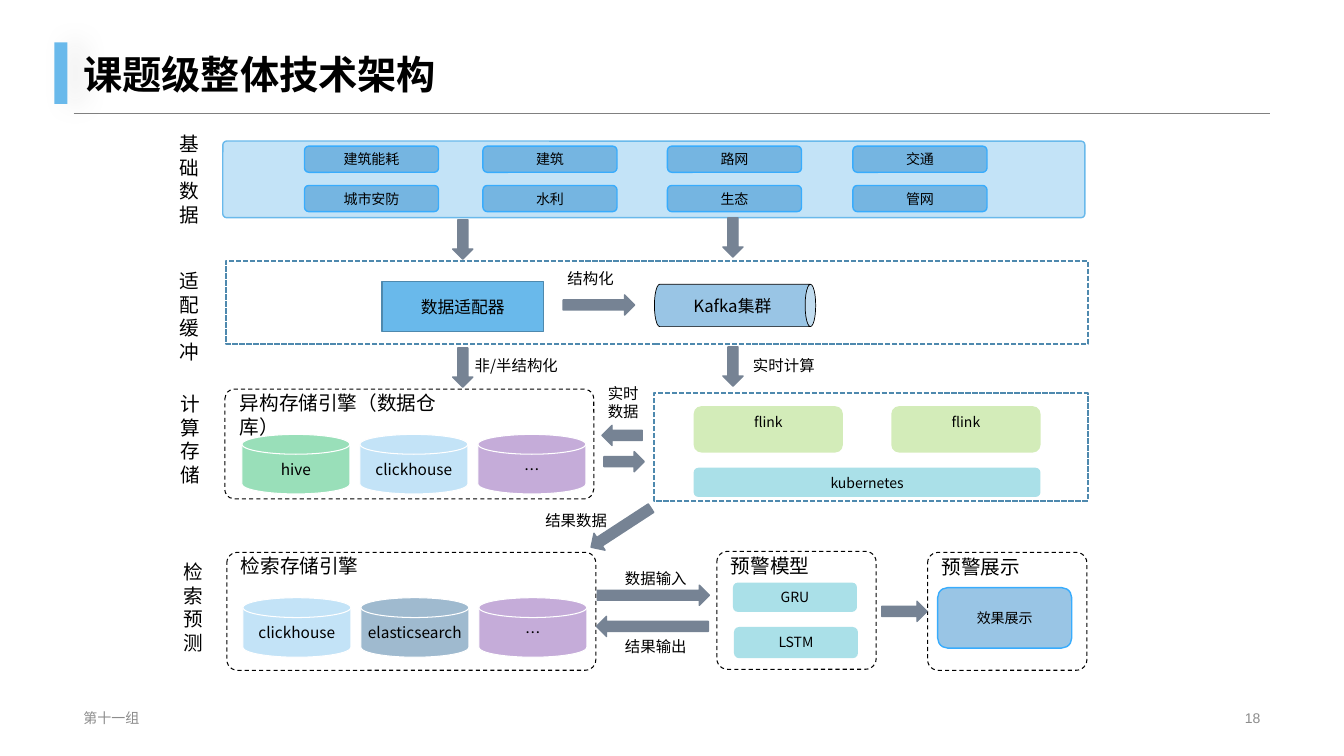
from lxml.etree import SubElement
from pptx import Presentation
from pptx.dml.color import RGBColor
from pptx.enum.dml import MSO_LINE
from pptx.enum.shapes import MSO_CONNECTOR, MSO_SHAPE
from pptx.enum.text import MSO_ANCHOR, PP_ALIGN
from pptx.oxml.ns import qn
from pptx.util import Inches, Pt

BLACK = RGBColor(0x00, 0x00, 0x00)
WHITE = RGBColor(0xFF, 0xFF, 0xFF)
GRAY = RGBColor(0x80, 0x80, 0x80)
FOOTER_GRAY = RGBColor(0x8C, 0x8C, 0x8C)
ARROW_GRAY = RGBColor(0x76, 0x83, 0x94)
SKY = RGBColor(0x69, 0xB9, 0xEB)
STEEL = RGBColor(0x4E, 0x89, 0xAE)
BLUE = RGBColor(0x00, 0x70, 0xC0)
BRIGHT_BLUE = RGBColor(0x38, 0xAC, 0xFD)
NAVY = RGBColor(0x0F, 0x54, 0x89)
GREEN = RGBColor(0x00, 0xB0, 0x50)
LIME = RGBColor(0x92, 0xD0, 0x50)
TEAL = RGBColor(0x2B, 0xB3, 0xC6)
PURPLE = RGBColor(0x70, 0x30, 0xA0)

HEADING_FONT = "Arial"
BODY_FONT = "Noto Sans CJK SC"
CHIP_INSETS = (0.11, 0.05)
DISK_INSETS = (0.04, 0)

TITLE = "课题级整体技术架构"
FOOTER = "第十一组"
PAGE_NUMBER = "18"

# Vertical stage labels: text, left, top
STAGES = [
    ("基础数据", 1.68, 1.26),
    ("适配缓冲", 1.68, 2.62),
    ("计算存储", 1.69, 3.84),
    ("检索预测", 1.72, 5.51),
]

# Data sources: left of the column, names from top to bottom
SOURCES = [
    (3.02, ("建筑能耗", "城市安防")),
    (4.79, ("建筑", "水利")),
    (6.62, ("路网", "生态")),
    (8.46, ("交通", "管网")),
]
SOURCE_TOPS = (1.45, 1.84)

# Frames: left, top, width, height
STEEL_FRAMES = [(2.24, 2.59, 8.55, 0.82), (6.49, 3.9, 4.3, 1.07)]
ROUND_FRAMES = [
    (2.23, 3.86, 3.66, 1.09),
    (2.25, 5.48, 3.66, 1.17),
    (7.11, 5.47, 1.58, 1.17),
    (9.2, 5.48, 1.58, 1.17),
]

# Storage engines: left of the first disk, top, (name, colour) of each disk
DISK_ROWS = [
    (2.4, 4.31, [("hive", GREEN), ("clickhouse", SKY), ("…", PURPLE)]),
    (2.41, 5.93, [("clickhouse", SKY), ("elasticsearch", NAVY), ("…", PURPLE)]),
]
DISK_STEP = 1.17

# Soft boxes: text, colour, left, top, width, height
COMPONENTS = [
    ("flink", LIME, 6.88, 4.03, 1.48, 0.46),
    ("flink", LIME, 8.84, 4.03, 1.48, 0.46),
    ("kubernetes", TEAL, 6.88, 4.64, 3.44, 0.29),
    ("GRU", TEAL, 7.27, 5.78, 1.23, 0.29),
    ("LSTM", TEAL, 7.28, 6.22, 1.23, 0.31),
]

# Frame titles and arrow captions: lines, size, left, top, width, height
CAPTIONS = [
    (["异构存储引擎（数据仓库）"], 14, 2.28, 3.83, 2.51, 0.34),
    (["检索存储引擎"], 14, 2.29, 5.45, 1.73, 0.34),
    (["预警模型"], 14, 7.15, 5.45, 1.73, 0.34),
    (["预警展示"], 14, 9.24, 5.46, 1.73, 0.34),
    (["结构化"], 11, 5.53, 2.62, 1.73, 0.29),
    (["非/半结构化"], 11, 4.61, 3.48, 1.73, 0.29),
    (["实时计算"], 11, 7.37, 3.48, 1.73, 0.29),
    (["实时", "数据"], 11, 5.93, 3.76, 1.73, 0.47),
    (["结果数据"], 11, 5.31, 5.02, 1.73, 0.29),
    (["数据输入"], 11, 6.1, 5.6, 1.73, 0.29),
    (["结果输出"], 11, 6.1, 6.27, 1.73, 0.29),
]

# Down arrows before turning: left, top, length, rotation
DOWN, LEFT, RIGHT, DOWN_LEFT = 0, 90, 270, 56.9
ARROWS = [
    (4.49, 2.18, 0.39, DOWN),
    (7.17, 2.16, 0.39, DOWN),
    (4.49, 3.45, 0.39, DOWN),
    (7.17, 3.44, 0.39, DOWN),
    (5.84, 2.67, 0.71, RIGHT),
    (6.07, 4.12, 0.4, LEFT),
    (6.09, 4.38, 0.4, RIGHT),
    (6.06, 4.88, 0.71, DOWN_LEFT),
    (6.38, 5.35, 1.11, RIGHT),
    (6.37, 5.66, 1.11, LEFT),
    (8.87, 5.84, 0.45, RIGHT),
]

deck = Presentation()
deck.slide_width, deck.slide_height = Inches(13.33), Inches(7.5)
page = deck.slides.add_slide(deck.slide_layouts[6])


def write(shape, lines, size, font=BODY_FONT, color=BLACK, bold=False, wrap=True,
          align=PP_ALIGN.CENTER, anchor=MSO_ANCHOR.MIDDLE, insets=(0.1, 0.05)):
    """Fill a shape with one paragraph per line; insets are side, top and bottom."""
    frame = shape.text_frame
    frame.word_wrap = wrap
    frame.vertical_anchor = anchor
    frame.margin_left = frame.margin_right = Inches(insets[0])
    frame.margin_top = frame.margin_bottom = Inches(insets[1])
    for index, line in enumerate(lines):
        para = frame.add_paragraph() if index else frame.paragraphs[0]
        para.alignment = align
        span = para.add_run()
        span.text = line
        span.font.size, span.font.bold = Pt(size), bold
        span.font.name = font
        span.font.color.rgb = color
        SubElement(span.font._element, qn("a:ea"), typeface=BODY_FONT)


def add_text(lines, size, at, align=PP_ALIGN.LEFT, anchor=MSO_ANCHOR.TOP, **style):
    box = page.shapes.add_textbox(*map(Inches, at))
    write(box, lines, size, align=align, anchor=anchor, **style)
    return box


def add_box(kind, at, fill=None, line=None, weight=1, opacity=100, dash=None, radius=None):
    box = page.shapes.add_shape(kind, *map(Inches, at))
    box.shadow.inherit = False
    if radius is not None:
        box.adjustments[0] = radius
    if fill is None:
        box.fill.background()
    else:
        box.fill.solid()
        box.fill.fore_color.rgb = fill
        if opacity < 100:
            tint = box.element.spPr.find(qn("a:solidFill")).find(qn("a:srgbClr"))
            SubElement(tint, qn("a:alpha"), val=str(opacity * 1000))
    if line is None:
        box.line.fill.background()
    else:
        box.line.color.rgb = line
        box.line.width = Pt(weight)
        box.line.dash_style = dash
    return box


def add_chip(text, at):
    chip = add_box(MSO_SHAPE.ROUNDED_RECTANGLE, at, BLUE, BRIGHT_BLUE, opacity=40)
    write(chip, [text], 10, insets=CHIP_INSETS)


# Header and footer
rule = page.shapes.add_connector(MSO_CONNECTOR.STRAIGHT, Inches(0.73), Inches(1.12),
                                 Inches(12.6), Inches(1.12))
rule.line.color.rgb, rule.line.width = GRAY, Pt(0.25)
SubElement(rule.element.spPr, qn("a:effectLst"))
accent = add_box(MSO_SHAPE.RECTANGLE, (0.54, 0.42, 0.13, 0.61), SKY)
glow = SubElement(accent.element.spPr.find(qn("a:effectLst")), qn("a:outerShdw"),
                  blurRad=str(Pt(20)), dist=str(Pt(10)), dir="0", rotWithShape="0")
SubElement(SubElement(glow, qn("a:srgbClr"), val="262626"), qn("a:alpha"), val="10000")
title = add_text([TITLE], 28, (0.73, -0.1, 11.87, 1.12), font=HEADING_FONT, bold=True,
                 anchor=MSO_ANCHOR.BOTTOM)
title.text_frame.paragraphs[0].line_spacing = 0.9
for text, at, align in [(FOOTER, (0.73, 7.01, 4.53, 0.23), PP_ALIGN.LEFT),
                        (PAGE_NUMBER, (9.42, 7.01, 3.18, 0.23), PP_ALIGN.RIGHT)]:
    add_text([text], 10, at, align, MSO_ANCHOR.MIDDLE, font=HEADING_FONT, color=FOOTER_GRAY)

for text, left, top in STAGES:
    add_text(list(text), 14, (left, top, 0.4, 1.04), font=HEADING_FONT, wrap=False)

# Data sources
add_box(MSO_SHAPE.ROUNDED_RECTANGLE, (2.21, 1.4, 8.55, 0.76), SKY, SKY, opacity=40, radius=0.05)
for left, names in SOURCES:
    for name, top in zip(names, SOURCE_TOPS):
        add_chip(name, (left, top, 1.33, 0.26))

# Frames
for at in STEEL_FRAMES:
    add_box(MSO_SHAPE.RECTANGLE, at, line=STEEL, weight=1.25, dash=MSO_LINE.SQUARE_DOT)
for at in ROUND_FRAMES:
    add_box(MSO_SHAPE.ROUNDED_RECTANGLE, at, line=BLACK, weight=0.75, dash=MSO_LINE.DASH,
            radius=0.09)

# Adapter and message queue
adapter = add_box(MSO_SHAPE.RECTANGLE, (3.79, 2.79, 1.6, 0.5), SKY, STEEL)
write(adapter, ["数据适配器"], 12)
queue = add_box(MSO_SHAPE.CAN, (7.08, 2.23, 0.42, 1.6), BLUE, BLACK, 0.5, opacity=40)
queue.rotation = 90
write(queue, ["Kafka集群"], 12)
queue.element.txBody.find(qn("a:bodyPr")).set("vert", "vert270")

# Engines and components
for first_left, top, disks in DISK_ROWS:
    for index, (name, color) in enumerate(disks):
        disk = add_box(MSO_SHAPE.FLOWCHART_MAGNETIC_DISK,
                       (first_left + index * DISK_STEP, top, 1.07, 0.59),
                       color, WHITE, 0.75, opacity=40)
        write(disk, [name], 11, insets=DISK_INSETS)
for name, color, *at in COMPONENTS:
    component = add_box(MSO_SHAPE.ROUNDED_RECTANGLE, at, color, opacity=40)
    write(component, [name], 10, anchor=MSO_ANCHOR.TOP, insets=CHIP_INSETS)
add_chip("效果展示", (9.3, 5.83, 1.33, 0.6))

for left, top, length, rotation in ARROWS:
    arrow = add_box(MSO_SHAPE.DOWN_ARROW, (left, top, 0.2, length), ARROW_GRAY, ARROW_GRAY)
    arrow.rotation = rotation
for lines, size, *at in CAPTIONS:
    add_text(lines, size, at)

deck.save("out.pptx")
